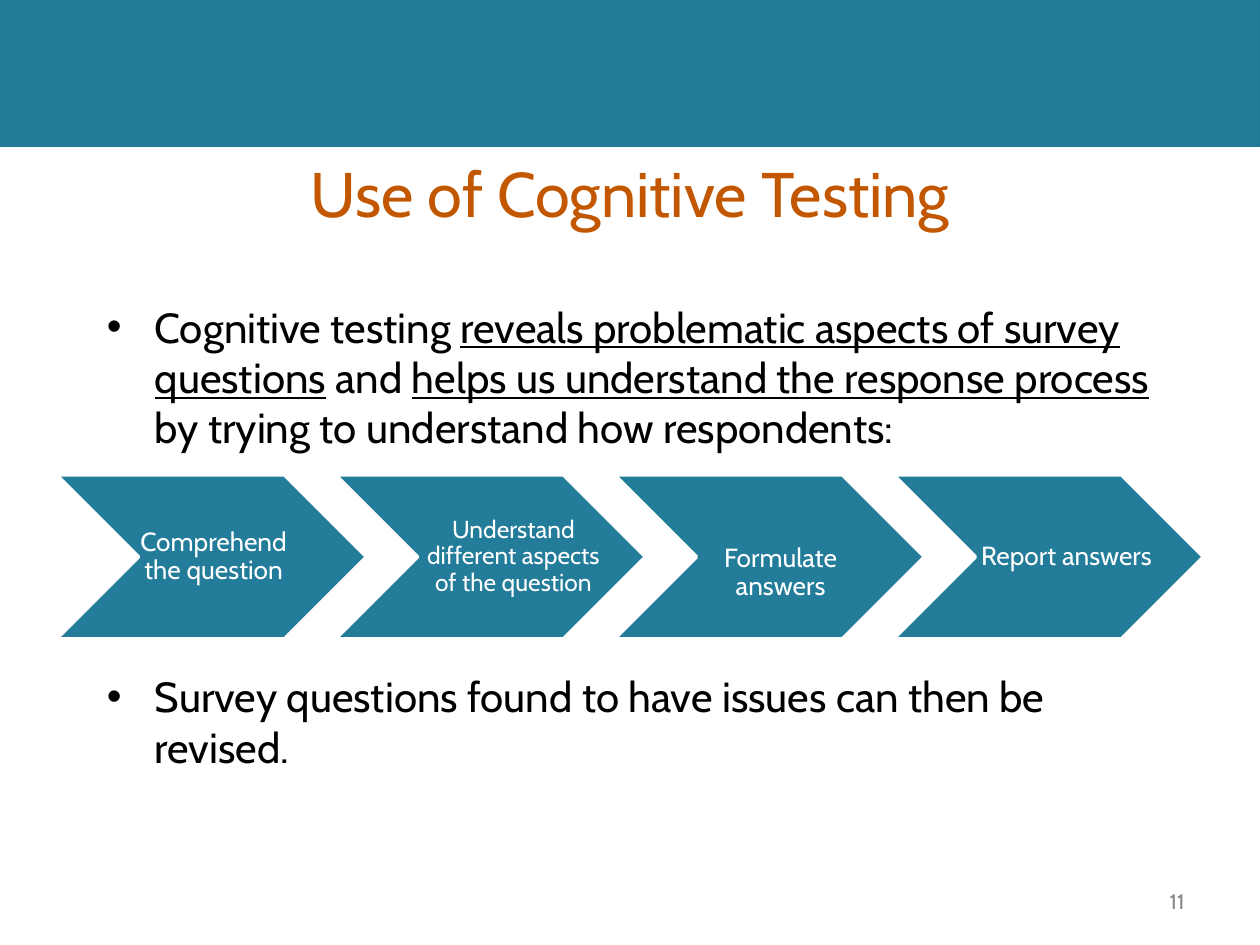
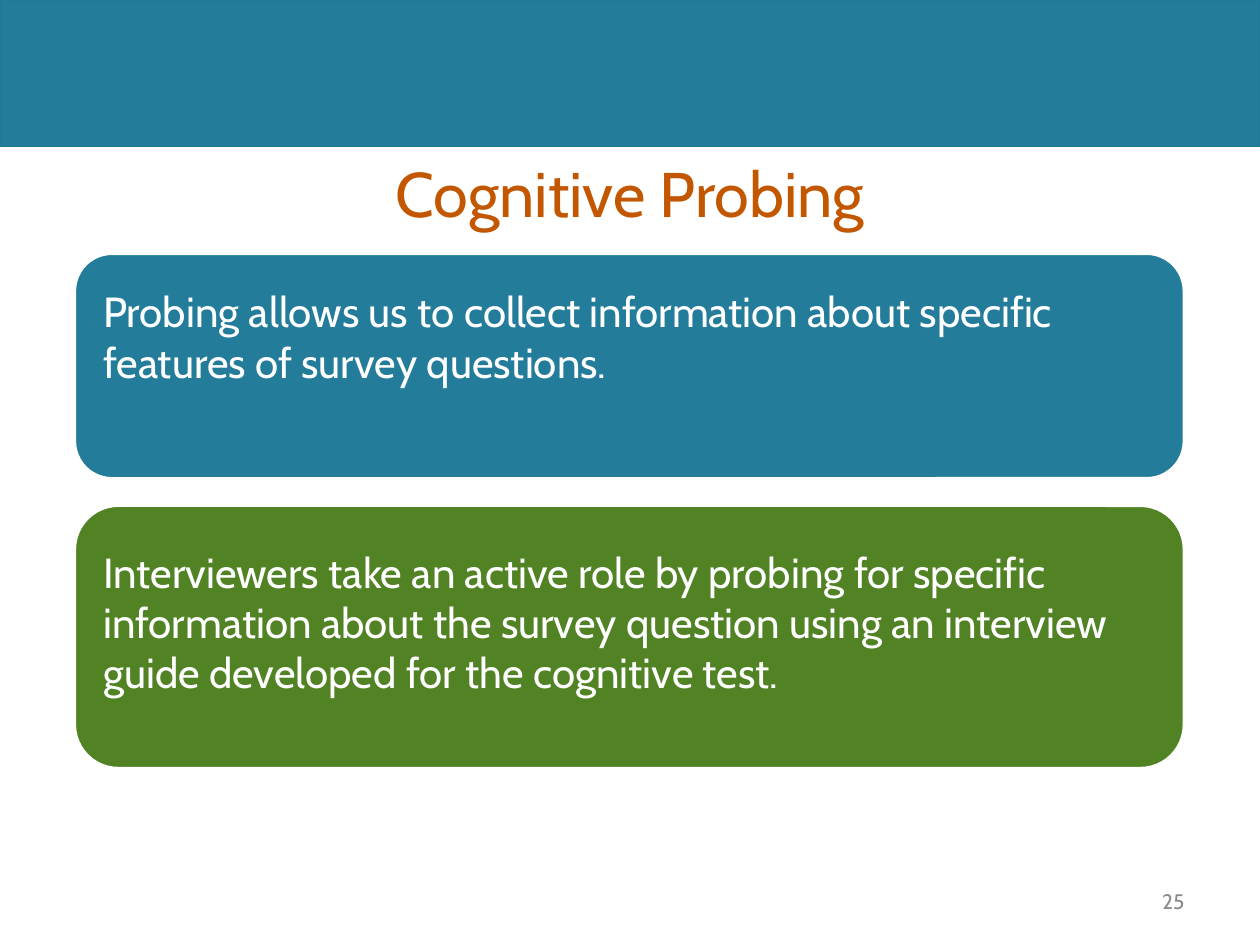
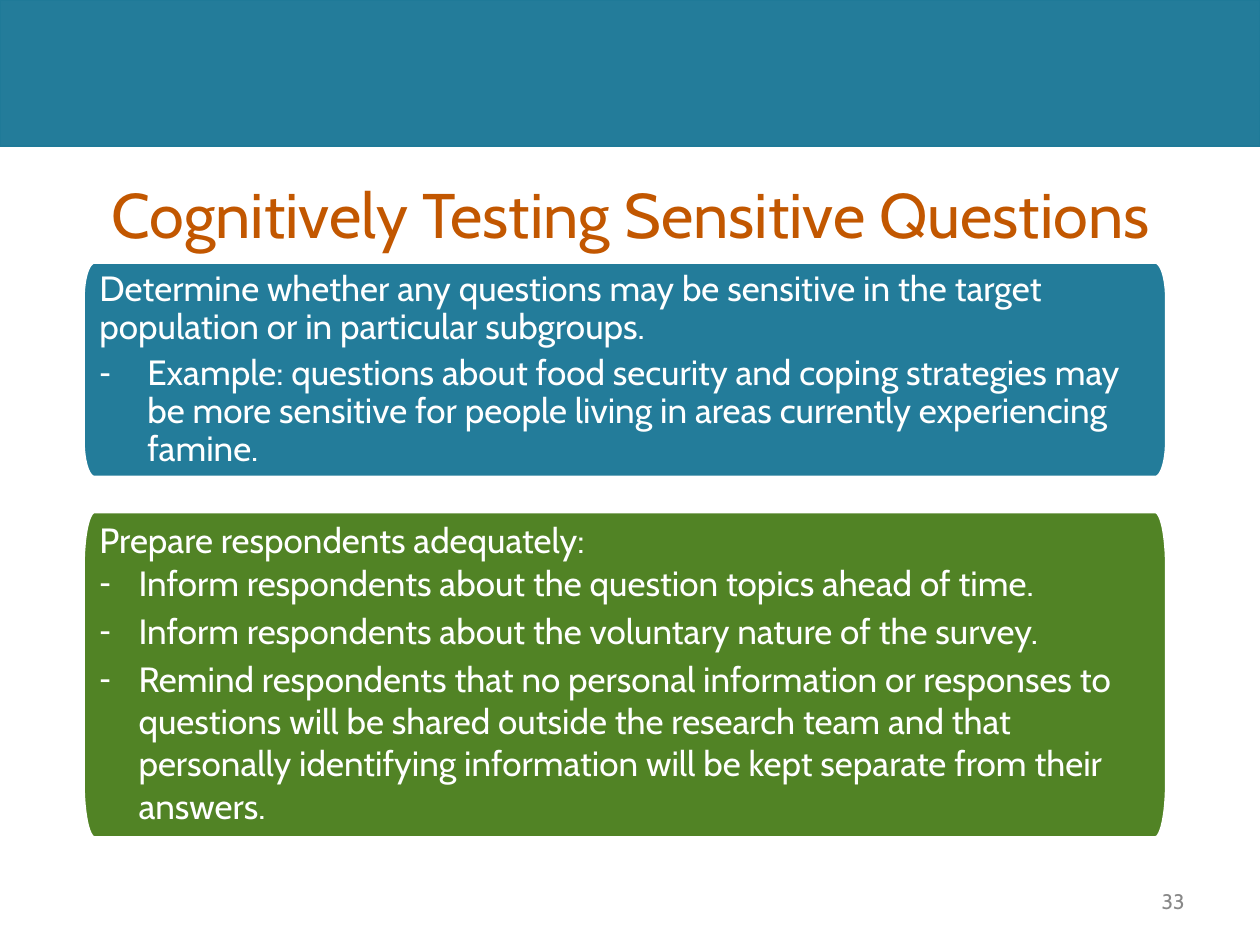
import math
from dataclasses import dataclass

from lxml import etree
from pptx import Presentation
from pptx.dml.color import RGBColor
from pptx.enum import shapes, text as text_enum
from pptx.oxml.ns import qn
from pptx.util import Pt

PX = 9144  # EMU; 100 px to the inch
ALIGN = text_enum.PP_ALIGN
ANCHOR = text_enum.MSO_ANCHOR


@dataclass(frozen=True)
class Theme:
    font: str = "Cabin"
    teal: str = "237C9A"
    teal_edge: str = "1F7A98"
    green: str = "518325"
    orange: str = "C25700"
    black: str = "000000"
    white: str = "FFFFFF"
    gray: str = "888888"
    title_size: int = 36
    body_size: int = 24
    panel_size: int = 20
    label_size: int = 15
    small_label_size: int = 14
    number_size: int = 12


THEME = Theme()


def px(value):
    return round(value * PX)


def paint(shape, fill, line, line_width):
    shape.shadow.inherit = False
    shape.fill.solid()
    shape.fill.fore_color.rgb = RGBColor.from_string(fill)
    shape.line.color.rgb = RGBColor.from_string(line)
    shape.line.width = Pt(line_width)


def set_frame(shape, anchor, insets):
    """Wrap the text and set its insets: left, top, right, bottom."""
    frame = shape.text_frame
    frame.word_wrap = True
    frame.vertical_anchor = anchor
    frame.margin_left, frame.margin_top, frame.margin_right, frame.margin_bottom = map(px, insets)


def add_bullet(para, mark, color, indent):
    props = para._p.get_or_add_pPr()
    props.set("marL", str(px(indent)))
    props.set("indent", str(-px(indent)))
    bullet_color = etree.SubElement(props, qn("a:buClr"))
    etree.SubElement(bullet_color, qn("a:srgbClr"), val=color)
    etree.SubElement(props, qn("a:buFont"), typeface="Arial")
    etree.SubElement(props, qn("a:buChar"), char=mark)


def write(shape, content, size, color, align=ALIGN.LEFT, spacing=None, before=0, after=0,
          bullet=None, indent=0):
    """Add a paragraph; content is a string or a list of (string, underlined) pairs."""
    frame = shape.text_frame
    para = frame.paragraphs[0]
    if para.runs:
        para = frame.add_paragraph()
    para.alignment = align
    para.space_before, para.space_after = Pt(before), Pt(after)
    if spacing:
        para.line_spacing = spacing
    if bullet:
        add_bullet(para, bullet, color, indent)
    for words, underlined in [(content, False)] if isinstance(content, str) else content:
        span = para.add_run()
        span.text = words
        span.font.name = THEME.font
        span.font.size = Pt(size)
        span.font.color.rgb = RGBColor.from_string(color)
        span.font.underline = underlined


class Deck:
    def __init__(self):
        self.file = Presentation()
        self.file.slide_width, self.file.slide_height = px(1000), px(750)
        self.page = None

    def add_page(self, title, title_at, number):
        self.page = self.file.slides.add_slide(self.file.slide_layouts[6])
        self.add_shape(shapes.MSO_SHAPE.RECTANGLE, (0, 0, 1000, 116), THEME.teal,
                       THEME.teal_edge, 0.75)
        heading = self.add_box(title_at, ANCHOR.MIDDLE)
        write(heading, title, THEME.title_size, THEME.orange, align=ALIGN.CENTER)
        footer = self.add_box((717, 695, 233, 40), ANCHOR.MIDDLE)
        write(footer, str(number), THEME.number_size, THEME.gray, align=ALIGN.RIGHT)

    def add_shape(self, kind, at, fill, line=THEME.white, line_width=2, adjust=None):
        shape = self.page.shapes.add_shape(kind, *map(px, at))
        if adjust is not None:
            shape.adjustments[0] = adjust
        paint(shape, fill, line, line_width)
        return shape

    def add_box(self, at, anchor=ANCHOR.TOP, insets=(10, 5, 10, 5)):
        box = self.page.shapes.add_textbox(*map(px, at))
        set_frame(box, anchor, insets)
        return box

    def add_panel(self, at, fill):
        """Draw a panel with tall elliptical corners, ready for text."""
        left, top, width, height = at
        radius_x, radius_y = 9, height / 6
        near_x, far_x = left + radius_x, left + width - radius_x
        near_y, far_y = top + radius_y, top + height - radius_y
        centers = [(far_x, far_y), (near_x, far_y), (near_x, near_y), (far_x, near_y)]
        steps = 12
        points = []
        for corner, (center_x, center_y) in enumerate(centers):
            for step in range(steps + 1):
                angle = math.pi / 2 * (corner + step / steps)
                points.append((px(center_x + radius_x * math.cos(angle)),
                               px(center_y + radius_y * math.sin(angle))))
        outline = self.page.shapes.build_freeform(*points[0], scale=1.0)
        outline.add_line_segments(points[1:], close=True)
        panel = outline.convert_to_shape()
        paint(panel, fill, THEME.white, 2)
        set_frame(panel, ANCHOR.MIDDLE, (13, 13, 13, 13))
        return panel


def build_use_of_testing(deck):
    deck.add_page("Use of Cognitive Testing", (11, 118, 978, 69), 11)
    body = deck.add_box((75, 234, 874, 540))
    bullet = dict(size=THEME.body_size, color=THEME.black, bullet="•", indent=38)
    write(body, [("Cognitive testing ", False),
                 ("reveals problematic aspects of survey questions", True),
                 (" and ", False),
                 ("helps us understand the response process", True),
                 (" by trying to understand how respondents:", False)], before=5.4, **bullet)
    write(body, "Survey questions found to have issues can then be revised.", before=125, **bullet)

    steps = [("Comprehend the question", 94, 377, THEME.label_size),
             ("Understand different aspects of the question", 332, 377, THEME.small_label_size),
             ("Formulate answers", 544, 390, THEME.label_size),
             ("Report answers", 771, 377, THEME.label_size)]
    for index, (label, label_left, label_top, size) in enumerate(steps):
        deck.add_shape(shapes.MSO_SHAPE.CHEVRON, (45 + index * 221.4, 377, 246, 130),
                       THEME.teal, adjust=0.5)
        box = deck.add_box((label_left, label_top, 148, 130), ANCHOR.MIDDLE, (5, 2, 2, 2))
        write(box, label, size, THEME.white, align=ALIGN.CENTER, spacing=0.9)


def build_probing(deck):
    deck.add_page("Cognitive Probing", (50, 116, 900, 74), 25)
    cards = [("Probing allows us to collect information about specific features of survey "
              "questions.", THEME.teal, 201, 179, 215, 163, ANCHOR.TOP),
             ("Interviewers take an active role by probing for specific information about the "
              "survey question using an interview guide developed for the cognitive test.",
              THEME.green, 401, 209, 380, 227, ANCHOR.MIDDLE)]
    for words, fill, top, height, text_top, text_height, anchor in cards:
        deck.add_shape(shapes.MSO_SHAPE.ROUNDED_RECTANGLE, (59, top, 881, height), fill,
                       adjust=0.167)
        box = deck.add_box((70, text_top, 860, text_height), anchor, (12, 12, 12, 12))
        write(box, words, THEME.body_size, THEME.white)


def build_sensitive_questions(deck):
    deck.add_page("Cognitively Testing Sensitive Questions", (42, 130, 917, 78), 33)
    style = dict(size=THEME.panel_size, color=THEME.white)

    determine = deck.add_panel((66, 208, 860, 171), THEME.teal)
    write(determine, "Determine whether any questions may be sensitive in the target population "
          "or in particular subgroups.", spacing=0.9, after=5, **style)
    write(determine, "Example: questions about food security and coping strategies may be more "
          "sensitive for people living in areas currently experiencing famine.",
          spacing=0.9, bullet="-", indent=38, **style)

    prepare = deck.add_panel((66, 406, 860, 259), THEME.green)
    write(prepare, "Prepare respondents adequately:", spacing=0.9, **style)
    advice = ["Inform respondents about the question topics ahead of time.",
              "Inform respondents about the voluntary nature of the survey.",
              "Remind respondents that no personal information or responses to questions will be "
              "shared outside the research team and that personally identifying information will "
              "be kept separate from their answers."]
    for index, words in enumerate(advice):
        write(prepare, words, before=3.6 if index else 0, bullet="-", indent=31, **style)


def main():
    deck = Deck()
    build_use_of_testing(deck)
    build_probing(deck)
    build_sensitive_questions(deck)
    deck.file.save("out.pptx")


if __name__ == "__main__":
    main()
